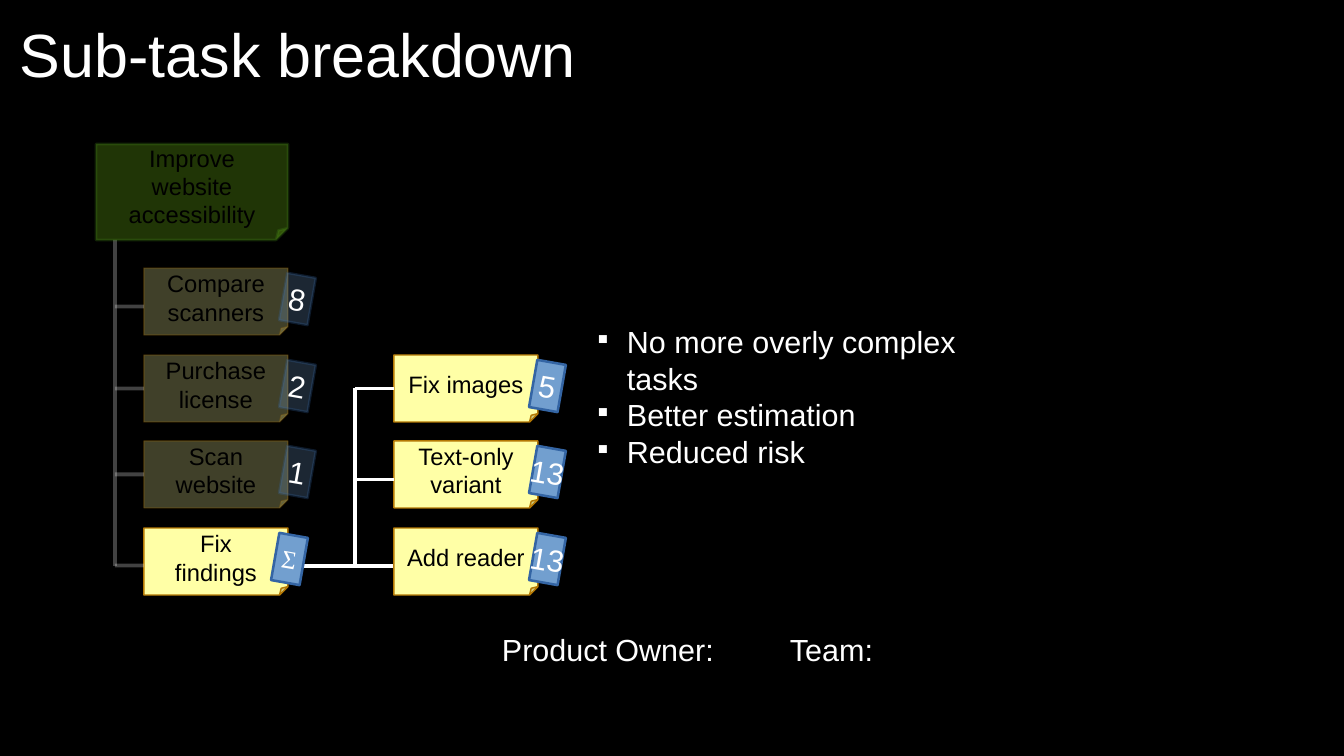
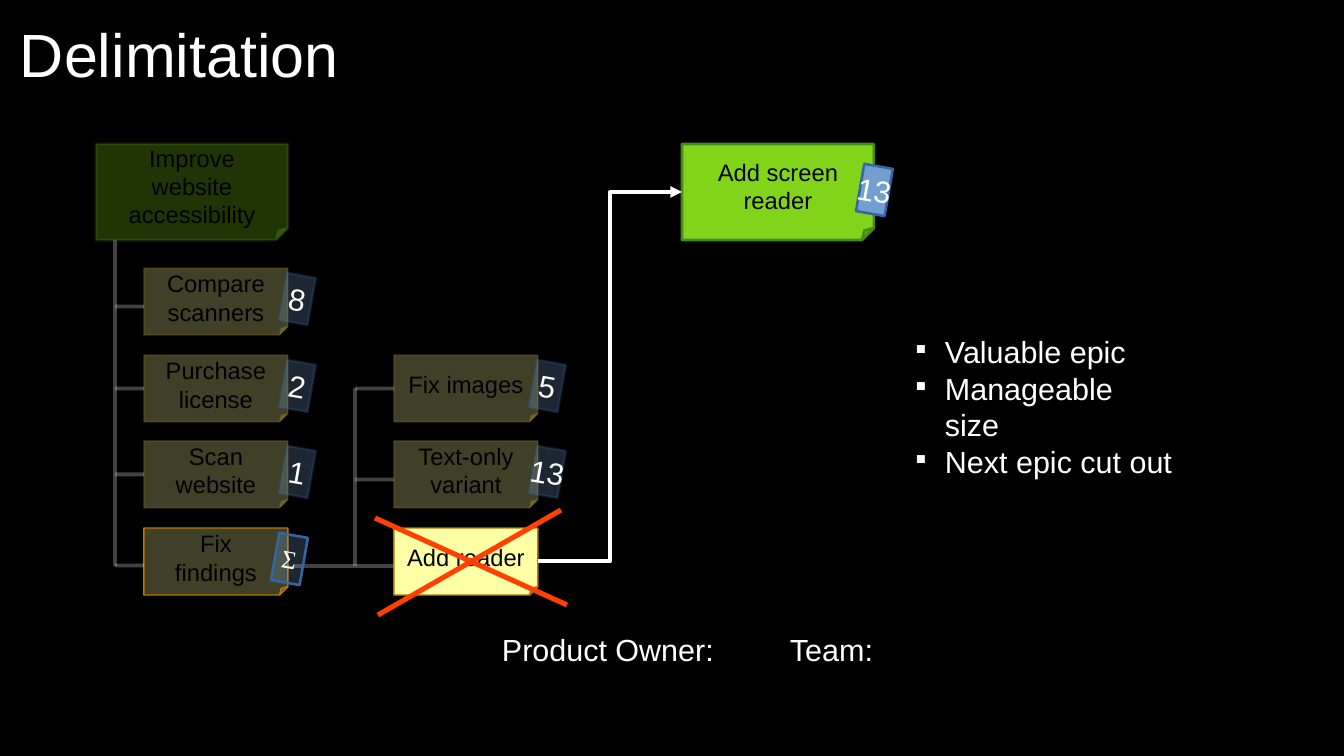
import dataclasses

import lxml.etree
import pptx
import pptx.dml.color
import pptx.enum.shapes
import pptx.enum.text
import pptx.oxml
import pptx.oxml.ns
import pptx.util

PX = 914400 / 122
SHAPES = pptx.enum.shapes.MSO_SHAPE
CONNECTORS = pptx.enum.shapes.MSO_CONNECTOR
ANCHOR = pptx.enum.text.MSO_ANCHOR
qn = pptx.oxml.ns.qn
rgb = pptx.dml.color.RGBColor.from_string


@dataclasses.dataclass(frozen=True)
class Theme:
    font: str = "Arial"
    symbol_font: str = "Times New Roman"
    background: str = "000000"
    light: str = "FFFFFF"
    dark: str = "000000"
    cross: str = "FF4000"
    title_size: int = 36
    body_size: int = 18
    card_size: int = 14
    symbol_size: int = 15
    line_width: float = 2.3
    cross_width: int = 3
    faded_alpha: str = "25000"


@dataclasses.dataclass(frozen=True)
class CardStyle:
    preset: int
    width: int
    height: int
    fill: str
    line: str
    line_width: float
    text_color: str
    text_size: int
    rotation: int = 0
    wrap: bool = True


THEME = Theme()
EPIC = CardStyle(SHAPES.FOLDED_CORNER, 192, 96, "81D41A", "468A1A", 1.5, THEME.dark, THEME.card_size)
TASK = CardStyle(SHAPES.FOLDED_CORNER, 144, 67, "FFFFA6", "B47804", 0.85, THEME.dark, THEME.card_size)
ESTIMATE = CardStyle(SHAPES.RECTANGLE, 29, 48, "729FCF", "3465A4", 1.5, THEME.light, THEME.body_size, 10, False)


def add_card(slide, style, left, top, text, fade_fill=False, fade_line=False):
    box = [round(value * PX) for value in (left, top, style.width, style.height)]
    shape = slide.shapes.add_shape(style.preset, *box)
    shape.shadow.inherit = False
    shape.rotation = style.rotation
    shape.fill.solid()
    shape.fill.fore_color.rgb = rgb(style.fill)
    shape.line.color.rgb = rgb(style.line)
    shape.line.width = pptx.util.Pt(style.line_width)
    properties = shape._element.spPr
    if style.preset == SHAPES.FOLDED_CORNER:
        guides = properties.find(qn("a:prstGeom")).find(qn("a:avLst"))
        guide = lxml.etree.SubElement(guides, qn("a:gd"))
        guide.set("name", "adj")
        guide.set("fmla", "val 12500")
    for parent, faded in ((properties, fade_fill), (properties.find(qn("a:ln")), fade_line)):
        if faded:
            color = parent.find(qn("a:solidFill"))[0]
            lxml.etree.SubElement(color, qn("a:alpha")).set("val", THEME.faded_alpha)
    frame = shape.text_frame
    frame.text = text
    frame.word_wrap = style.wrap
    frame.vertical_anchor = ANCHOR.MIDDLE
    paragraph = frame.paragraphs[0]
    paragraph.alignment = pptx.enum.text.PP_ALIGN.CENTER
    font = paragraph.runs[0].font
    font.name = THEME.symbol_font if text == "Σ" else THEME.font
    font.size = pptx.util.Pt(THEME.symbol_size if text == "Σ" else style.text_size)
    font.color.rgb = rgb(style.text_color)
    return shape


def add_line(slide, points, faded=False, color=THEME.light, width=THEME.line_width, kind=CONNECTORS.STRAIGHT):
    connector = slide.shapes.add_connector(kind, *[round(value * PX) for value in points])
    connector.line.color.rgb = rgb(color)
    connector.line.width = pptx.util.Pt(width)
    properties = connector._element.spPr
    if faded:
        line_color = properties.find(qn("a:ln")).find(qn("a:solidFill"))[0]
        lxml.etree.SubElement(line_color, qn("a:alpha")).set("val", THEME.faded_alpha)
    lxml.etree.SubElement(properties, qn("a:effectLst"))
    return connector


# Task grid: rows share one step, each column hangs from a vertical spine
EPIC_LEFT, EPIC_TOP = 96, 144
ROW_TOPS = [268 + round(row * 260 / 3) for row in range(4)]
TASK_LEFT, SUBTASK_LEFT = 144, 394
SPINE_X, SUBSPINE_X = 115, 355
SPINE_BOTTOM = 566

# Per task: row, text, estimate, drop of its branch below the middle
TASKS = [(0, "Compare scanners", "8", 5), (1, "Purchase license", "2", 0),
         (2, "Scan website", "1", 0), (3, "Fix findings", "Σ", 4)]
SUBTASKS = [(1, "Fix images", "5", 0), (2, "Text-only variant", "13", 5),
            (3, "Add reader", "13", None)]

SLIDES = [
    ("Sub-task breakdown", False, (586, 317, 461, 115),
     ["No more overly complex tasks", "Better estimation", "Reduced risk"]),
    ("Delimitation", True, (904, 327, 283, 115),
     ["Valuable epic", "Manageable size", "Next epic cut out"]),
]

BULLET_XML = [
    f'<a:buClr {pptx.oxml.ns.nsdecls("a")}><a:srgbClr val="{THEME.light}"/></a:buClr>',
    f'<a:buSzPct {pptx.oxml.ns.nsdecls("a")} val="45000"/>',
    f'<a:buChar {pptx.oxml.ns.nsdecls("a")} char="■"/>',
]
TAB_XML = [f'<a:tabLst {pptx.oxml.ns.nsdecls("a")}><a:tab pos="{round(288 * PX)}" algn="l"/></a:tabLst>']

presentation = pptx.Presentation()
presentation.slide_width = round(1344 * PX)
presentation.slide_height = round(756 * PX)
background = presentation.slide_master.background.fill
background.solid()
background.fore_color.rgb = rgb(THEME.background)

for title, epic_cut_out, bullet_box, bullets in SLIDES:
    slide = presentation.slides.add_slide(presentation.slide_layouts[6])

    # Spines and the link between the two columns
    add_line(slide, (SUBTASK_LEFT, SPINE_BOTTOM, 293, SPINE_BOTTOM), epic_cut_out)
    add_line(slide, (SPINE_X, EPIC_TOP + EPIC.height, SPINE_X, SPINE_BOTTOM), True)
    add_line(slide, (SUBSPINE_X, ROW_TOPS[1] + TASK.height / 2, SUBSPINE_X, SPINE_BOTTOM), epic_cut_out)

    # Epic, tasks and sub-tasks with branches and estimates
    add_card(slide, EPIC, EPIC_LEFT, EPIC_TOP, "Improve website accessibility", True, True)
    for left, spine, tasks, column_faded in ((TASK_LEFT, SPINE_X, TASKS, True),
                                             (SUBTASK_LEFT, SUBSPINE_X, SUBTASKS, epic_cut_out)):
        for row, text, estimate, drop in tasks:
            top = ROW_TOPS[row]
            is_sum = estimate == "Σ"
            is_reader = text == "Add reader"
            fade_fill = epic_cut_out if is_sum else column_faded and not is_reader
            fade_line = fade_fill and not is_sum
            task = add_card(slide, TASK, left, top, text, fade_fill, fade_line)
            if is_reader:
                reader = task
            if drop is not None:
                branch_y = top + TASK.height / 2 + drop
                branch = add_line(slide, (left, branch_y, spine, branch_y), column_faded)
                if drop == 0:
                    branch.begin_connect(task, 1)
            if not (is_reader and epic_cut_out):
                add_card(slide, ESTIMATE, left + (131 if is_sum else 139), top + 7,
                         estimate, fade_fill, fade_line)

    # The reader sub-task is crossed out and becomes an epic
    if epic_cut_out:
        for cross_line in ((375, 518, 567, 605), (378, 615, 561, 510)):
            add_line(slide, cross_line, color=THEME.cross, width=THEME.cross_width)
        new_epic = add_card(slide, EPIC, 682, EPIC_TOP, "Add screen reader")
        add_card(slide, ESTIMATE, 860, EPIC_TOP + 22, "13")
        arrow = add_line(slide, (538, 562, 682, 192), kind=CONNECTORS.ELBOW)
        arrow.begin_connect(reader, 3)
        arrow.end_connect(new_epic, 1)
        line = arrow._element.spPr.find(qn("a:ln"))
        lxml.etree.SubElement(line, qn("a:tailEnd")).set("type", "triangle")

    # Title, bullets and footer
    for box, lines, size, paragraph_xml in (
            ((20, 10, 1272, 87), [title], THEME.title_size, []),
            (bullet_box, bullets, THEME.body_size, BULLET_XML),
            ((490, 625, 461, 46), ["Product Owner:\tTeam:"], THEME.body_size, TAB_XML)):
        shape = slide.shapes.add_textbox(*[round(value * PX) for value in box])
        frame = shape.text_frame
        frame.text = "\n".join(lines)
        frame.word_wrap = lines is not bullets
        if size == THEME.title_size:
            frame.vertical_anchor = ANCHOR.MIDDLE
            frame.margin_left = frame.margin_right = frame.margin_top = frame.margin_bottom = 0
        for paragraph in frame.paragraphs:
            properties = paragraph._p.get_or_add_pPr()
            if lines is bullets:
                properties.set("marL", str(round(29 * PX)))
                properties.set("indent", str(round(-29 * PX)))
            for xml in paragraph_xml:
                properties.append(pptx.oxml.parse_xml(xml))
            for run in paragraph.runs:
                run.font.name = THEME.font
                run.font.size = pptx.util.Pt(size)
                run.font.color.rgb = rgb(THEME.light)

presentation.save("out.pptx")
